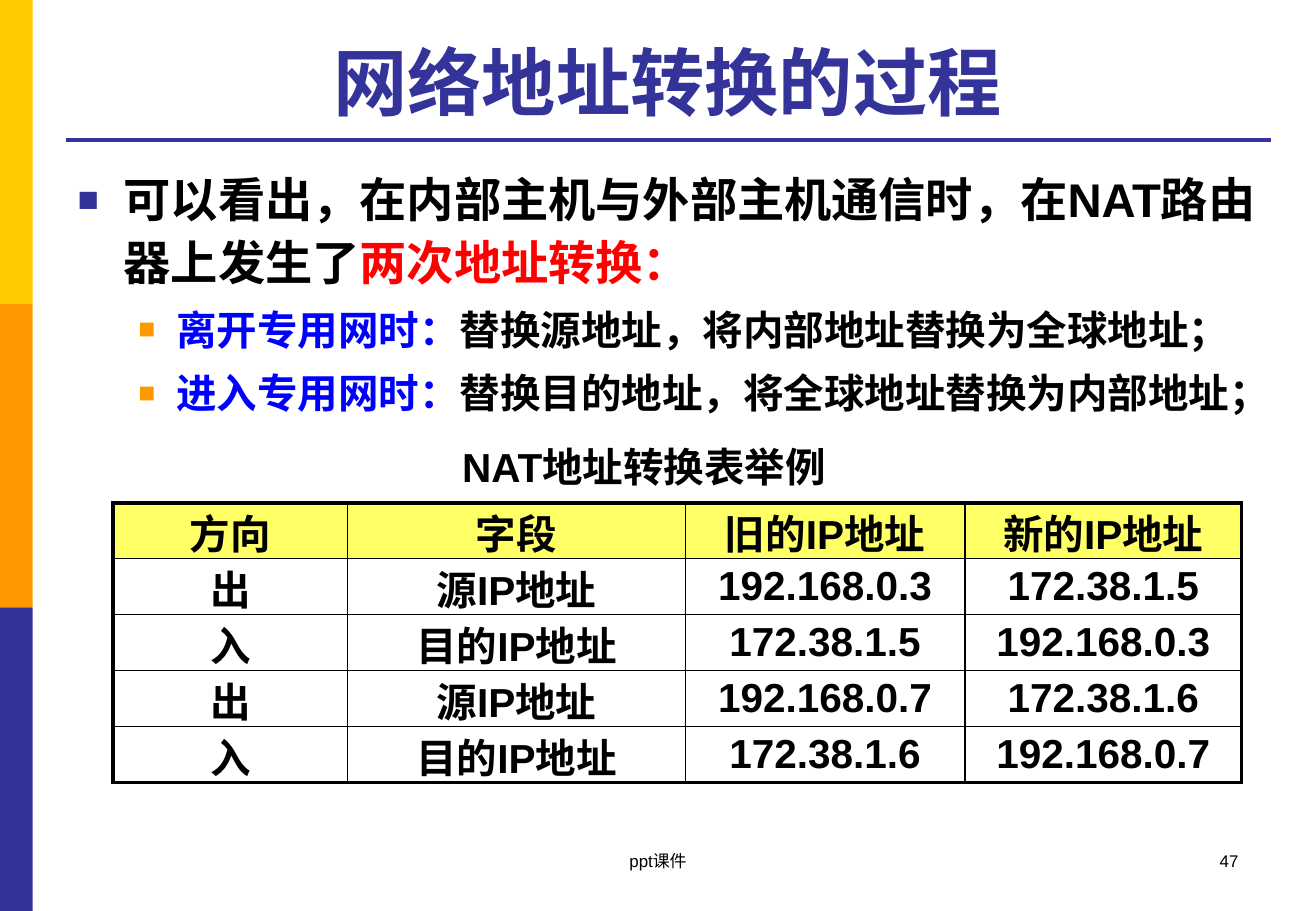
from dataclasses import dataclass

from lxml.etree import SubElement
from pptx import Presentation
from pptx.dml.color import RGBColor
from pptx.enum.shapes import MSO_CONNECTOR, MSO_SHAPE
from pptx.enum.text import MSO_ANCHOR, PP_ALIGN
from pptx.oxml.ns import qn
from pptx.util import Inches, Pt


@dataclass(frozen=True)
class Theme:
    """Colours, type sizes and line widths of the slide."""

    font: str = "Arial"
    black: str = "000000"
    navy: str = "333399"
    orange: str = "FF9900"
    gold: str = "FFCC00"
    red: str = "FF0000"
    blue: str = "0000FF"
    header: str = "FFFF66"
    title_size: float = 44
    lead_size: float = 28
    detail_size: float = 24
    footer_size: float = 10
    thick: float = 2.25
    thin: float = 1


THEME = Theme()

SIDE_COLOURS = (THEME.gold, THEME.orange, THEME.navy)
LEAD = (
    ("可以看出，在内部主机与外部主机通信时，在NAT路由器上发生了", THEME.black),
    ("两次地址转换：", THEME.red),
)
DETAILS = (
    ("离开专用网时：", "替换源地址，将内部地址替换为全球地址；"),
    ("进入专用网时：", "替换目的地址，将全球地址替换为内部地址；"),
)
COLUMN_WIDTHS = (1.93, 2.78, 2.3, 2.28)
ROW_HEIGHT = 0.46
NAT_ROWS = (
    ("方向", "字段", "旧的IP地址", "新的IP地址"),
    ("出", "源IP地址", "192.168.0.3", "172.38.1.5"),
    ("入", "目的IP地址", "172.38.1.5", "192.168.0.3"),
    ("出", "源IP地址", "192.168.0.7", "172.38.1.6"),
    ("入", "目的IP地址", "172.38.1.6", "192.168.0.7"),
)


def write(paragraph, text, size=THEME.detail_size, colour=THEME.black, bold=True):
    """Add a formatted run to a paragraph."""
    run = paragraph.add_run()
    run.text = text
    run.font.name = THEME.font
    run.font.size = Pt(size)
    run.font.bold = bold
    run.font.color.rgb = RGBColor.from_string(colour)


def add_text_frame(slide, left, top, width, height, anchor=MSO_ANCHOR.TOP):
    """Add a wrapping text box and return its text frame."""
    box = slide.shapes.add_textbox(
        Inches(left), Inches(top), Inches(width), Inches(height)
    )
    frame = box.text_frame
    frame.word_wrap = True
    frame.vertical_anchor = anchor
    return frame


def add_label(slide, text, *bounds, align=PP_ALIGN.CENTER, anchor=MSO_ANCHOR.TOP, **style):
    """Add a text box that holds one aligned paragraph."""
    paragraph = add_text_frame(slide, *bounds, anchor=anchor).paragraphs[0]
    paragraph.alignment = align
    write(paragraph, text, **style)


def add_side_bar(slide):
    """Stack the three coloured blocks along the left edge."""
    for index, colour in enumerate(SIDE_COLOURS):
        block = slide.shapes.add_shape(
            MSO_SHAPE.RECTANGLE, 0, Inches(2.5 * index), Inches(0.27), Inches(2.5)
        )
        block.shadow.inherit = False
        block.fill.solid()
        block.fill.fore_color.rgb = RGBColor.from_string(colour)
        block.line.fill.background()


def add_title_rule(slide):
    """Draw the line under the title."""
    rule = slide.shapes.add_connector(
        MSO_CONNECTOR.STRAIGHT, Inches(0.54), Inches(1.15), Inches(10.46), Inches(1.15)
    )
    rule.line.color.rgb = RGBColor.from_string(THEME.navy)
    rule.line.width = Pt(THEME.thick)
    SubElement(rule.element.spPr, qn("a:effectLst"))


def set_bullet(paragraph, colour, percent, margin, hanging):
    """Give a paragraph a square bullet with a hanging indent."""
    properties = paragraph._p.get_or_add_pPr()
    properties.set("marL", str(Inches(margin)))
    properties.set("indent", str(-Inches(hanging)))
    bullet_colour = SubElement(properties, qn("a:buClr"))
    SubElement(bullet_colour, qn("a:srgbClr"), val=colour)
    SubElement(properties, qn("a:buSzPct"), val=str(percent * 1000))
    SubElement(properties, qn("a:buFont"), typeface=THEME.font)
    SubElement(properties, qn("a:buChar"), char="■")


def add_body(slide):
    """Add the lead statement and its two details."""
    frame = add_text_frame(slide, 0.54, 1.31, 9.91, 5.4)
    lead = frame.paragraphs[0]
    lead.line_spacing = 1.1
    set_bullet(lead, THEME.navy, 75, 0.38, 0.38)
    for text, colour in LEAD:
        write(lead, text, size=THEME.lead_size, colour=colour)
    for occasion, action in DETAILS:
        detail = frame.add_paragraph()
        detail.level = 1
        detail.line_spacing = 1.1
        detail.space_before = Pt(6)
        set_bullet(detail, THEME.orange, 70, 0.81, 0.31)
        write(detail, occasion, colour=THEME.blue)
        write(detail, action)


def set_borders(cell, outer_sides):
    """Draw cell borders, thick on the sides at the table's edge."""
    properties = cell._tc.get_or_add_tcPr()
    for side in "LRTB":
        width = THEME.thick if side in outer_sides else THEME.thin
        line = SubElement(properties, qn(f"a:ln{side}"), w=str(Pt(width)))
        fill = SubElement(line, qn("a:solidFill"))
        SubElement(fill, qn("a:srgbClr"), val=THEME.black)


def fill_cell(cell, text, is_header, outer_sides):
    """Write and format one table cell."""
    cell.margin_left = cell.margin_right = Inches(0.07)
    cell.margin_top = cell.margin_bottom = 0
    cell.vertical_anchor = MSO_ANCHOR.MIDDLE
    set_borders(cell, outer_sides)
    if is_header:
        cell.fill.solid()
        cell.fill.fore_color.rgb = RGBColor.from_string(THEME.header)
    else:
        cell.fill.background()
    paragraph = cell.text_frame.paragraphs[0]
    paragraph.alignment = PP_ALIGN.CENTER
    write(paragraph, text)


def add_nat_table(slide):
    """Add the address translation table."""
    last_row, last_column = len(NAT_ROWS) - 1, len(COLUMN_WIDTHS) - 1
    table = slide.shapes.add_table(
        len(NAT_ROWS), len(COLUMN_WIDTHS), Inches(0.93), Inches(4.14),
        Inches(sum(COLUMN_WIDTHS)), Inches(ROW_HEIGHT * len(NAT_ROWS)),
    ).table
    table.first_row = table.horz_banding = False
    for column, width in zip(table.columns, COLUMN_WIDTHS):
        column.width = Inches(width)
    for row_index, texts in enumerate(NAT_ROWS):
        table.rows[row_index].height = Inches(ROW_HEIGHT)
        for column_index, text in enumerate(texts):
            edges = {
                "L": column_index == 0,
                "R": column_index == last_column,
                "T": row_index == 0,
                "B": row_index == last_row,
            }
            outer_sides = [side for side, is_outer in edges.items() if is_outer]
            fill_cell(table.cell(row_index, column_index), text, row_index == 0, outer_sides)


def main():
    """Build and save the slide."""
    presentation = Presentation()
    presentation.slide_width = Inches(10.83)
    presentation.slide_height = Inches(7.5)
    slide = presentation.slides.add_slide(presentation.slide_layouts[6])
    add_side_bar(slide)
    add_title_rule(slide)
    add_label(slide, "网络地址转换的过程", 0.54, 0.21, 9.91, 0.87,
              anchor=MSO_ANCHOR.BOTTOM, size=THEME.title_size, colour=THEME.navy)
    add_body(slide)
    add_nat_table(slide)
    add_label(slide, "NAT地址转换表举例", 3.37, 3.59, 3.86, 0.51)
    add_label(slide, "47", 7.76, 6.95, 2.53, 0.5,
              align=PP_ALIGN.RIGHT, size=THEME.footer_size, bold=False)
    add_label(slide, "ppt课件", 3.7, 6.95, 3.43, 0.5, size=THEME.footer_size, bold=False)
    presentation.save("out.pptx")


if __name__ == "__main__":
    main()
